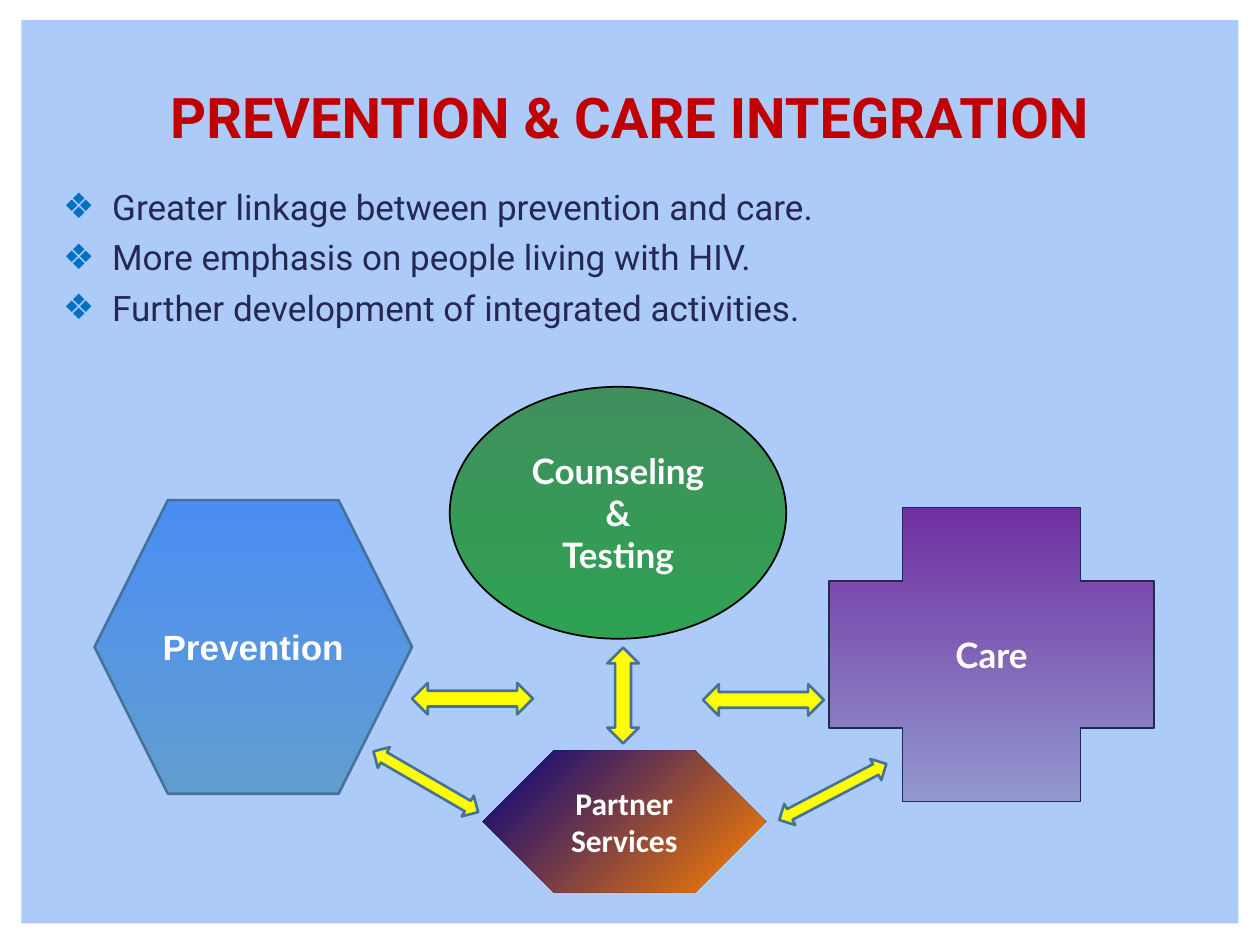
from lxml import etree
from pptx import Presentation
from pptx import util as u
from pptx.dml.color import RGBColor
from pptx.enum import shapes, text
from pptx.oxml.ns import qn

COLORS = {
    "panel": "ACCBF9", "title": "C00000", "body": "242852", "bullet": "0070C0",
    "white": "FFFFFF", "black": "000000", "steel": "467299", "yellow": "FFFF00",
    "green_top": "40905E", "green_end": "2FA152",
    "navy": "000082", "orange": "FF8200",
    "purple_top": "7030A0", "purple_end": "9297CF",
    "blue_top": "4A8EF2", "blue_end": "629DD1",
}
KIND = shapes.MSO_SHAPE


def rgb(name):
    return RGBColor.from_string(COLORS[name])


class Deck:
    """Holds the style and the current slide."""

    def __init__(self):
        self.prs = Presentation()
        self.prs.slide_width, self.prs.slide_height = u.Inches(10), u.Inches(7.5)
        self.s = self.prs.slides.add_slide(self.prs.slide_layouts[1])

    def place(self, sp, box):
        for name, value in zip(("left", "top", "width", "height"), box):
            setattr(sp, name, u.Inches(value))

    def set_text(self, sp, words, font, size, color, bold=False,
                 align=text.PP_ALIGN.CENTER, anchor=text.MSO_ANCHOR.MIDDLE, wrap=True):
        tf = sp.text_frame
        tf.text = words
        frame = {"word_wrap": wrap, "vertical_anchor": anchor,
                 "auto_size": text.MSO_AUTO_SIZE.NONE}
        for name, value in frame.items():
            setattr(tf, name, value)
        for p in tf.paragraphs:
            p.alignment = align
            for r in p.runs:
                style = {"name": font, "size": u.Pt(size), "bold": bold}
                for name, value in style.items():
                    setattr(r.font, name, value)
                r.font.color.rgb = rgb(color)
        return tf

    def title(self, words, box):
        sp = self.s.shapes.title
        self.place(sp, box)
        self.set_text(sp, words, "Roboto", 32, "title", bold=True)

    def bullets(self, items, box):
        sp = self.s.placeholders[1]
        self.place(sp, box)
        tf = self.set_text(sp, "\n".join(items), "Roboto", 20, "body",
                           align=text.PP_ALIGN.LEFT, anchor=text.MSO_ANCHOR.TOP)
        for i, p in enumerate(tf.paragraphs):
            p.line_spacing = 1.0
            p.space_before = u.Pt(5 if i else 0)
            pPr = p._p.get_or_add_pPr()
            pPr.set("marL", str(u.Inches(0.44)))
            pPr.set("indent", str(u.Inches(-0.39)))
            color = etree.SubElement(pPr, qn("a:buClr"))
            etree.SubElement(color, qn("a:srgbClr"), val=COLORS["bullet"])
            etree.SubElement(pPr, qn("a:buChar"), char="❖")

    def shape(self, kind, box, fill, line=None, adj=None, angle=90, rotation=0):
        """Fill is one colour, or a pair for a gradient at a clockwise angle."""
        sp = self.s.shapes.add_shape(kind, *map(u.Inches, box))
        sp.shadow.inherit = False
        sp.rotation = rotation
        if adj is not None:
            sp.adjustments[0] = adj
        if isinstance(fill, tuple):
            sp.fill.gradient()
            sp.fill.gradient_angle = 360 - angle
            for stop, color in zip(sp.fill.gradient_stops, fill):
                stop.color.rgb = rgb(color)
        else:
            sp.fill.solid()
            sp.fill.fore_color.rgb = rgb(fill)
        if line:
            color, width = line
            sp.line.color.rgb = rgb(color)
            sp.line.width = u.Pt(width)
        else:
            sp.line.fill.background()
        return sp

    def panel(self, box):
        """Background rectangle, sent behind everything else."""
        sp = self.shape(KIND.RECTANGLE, box, "panel")
        sp._element.getparent().insert(2, sp._element)

    def node(self, kind, box, fill, words, font="Lato", size=20, wrap=True, **look):
        sp = self.shape(kind, box, fill, **look)
        self.set_text(sp, words, font, size, "white", bold=True, wrap=wrap)

    def arrow(self, box, kind=KIND.LEFT_RIGHT_ARROW, rotation=0):
        self.shape(kind, box, "yellow", line=("steel", 1.5), rotation=rotation)


def main():
    deck = Deck()
    deck.panel((0.17, 0.16, 9.66, 7.17))
    deck.title("PREVENTION & CARE INTEGRATION", (0.31, 0.36, 9.38, 1.13))
    deck.bullets(["Greater linkage between prevention and care.",
                  "More emphasis on people living with HIV.",
                  "Further development of integrated activities."],
                 (0.35, 1.42, 6.99, 1.42))

    deck.node(KIND.OVAL, (3.57, 3.07, 2.67, 2), ("green_top", "green_end"),
              "Counseling\n&\nTesting", line=("black", 1))
    deck.node(KIND.HEXAGON, (3.83, 5.96, 2.25, 1.12), ("navy", "orange"),
              "Partner Services", font="Calibri", size=18, adj=0.5, angle=45)
    deck.node(KIND.CROSS, (6.58, 4.03, 2.58, 2.33), ("purple_top", "purple_end"),
              "Care", wrap=False, line=("body", 0.75), adj=0.25)
    deck.node(KIND.HEXAGON, (0.75, 3.97, 2.52, 2.33), ("blue_top", "blue_end"),
              "Prevention", font="Arial", line=("steel", 1.5), adj=0.25)

    deck.arrow((3.27, 5.42, 0.96, 0.25))
    deck.arrow((5.58, 5.43, 0.96, 0.25))
    deck.arrow((4.82, 5.14, 0.25, 0.76), kind=KIND.UP_DOWN_ARROW)
    deck.arrow((6.13, 6.19, 0.96, 0.19), rotation=332.4)
    deck.arrow((2.9, 6.11, 0.96, 0.19), rotation=30.1)
    deck.prs.save("out.pptx")


if __name__ == "__main__":
    main()
